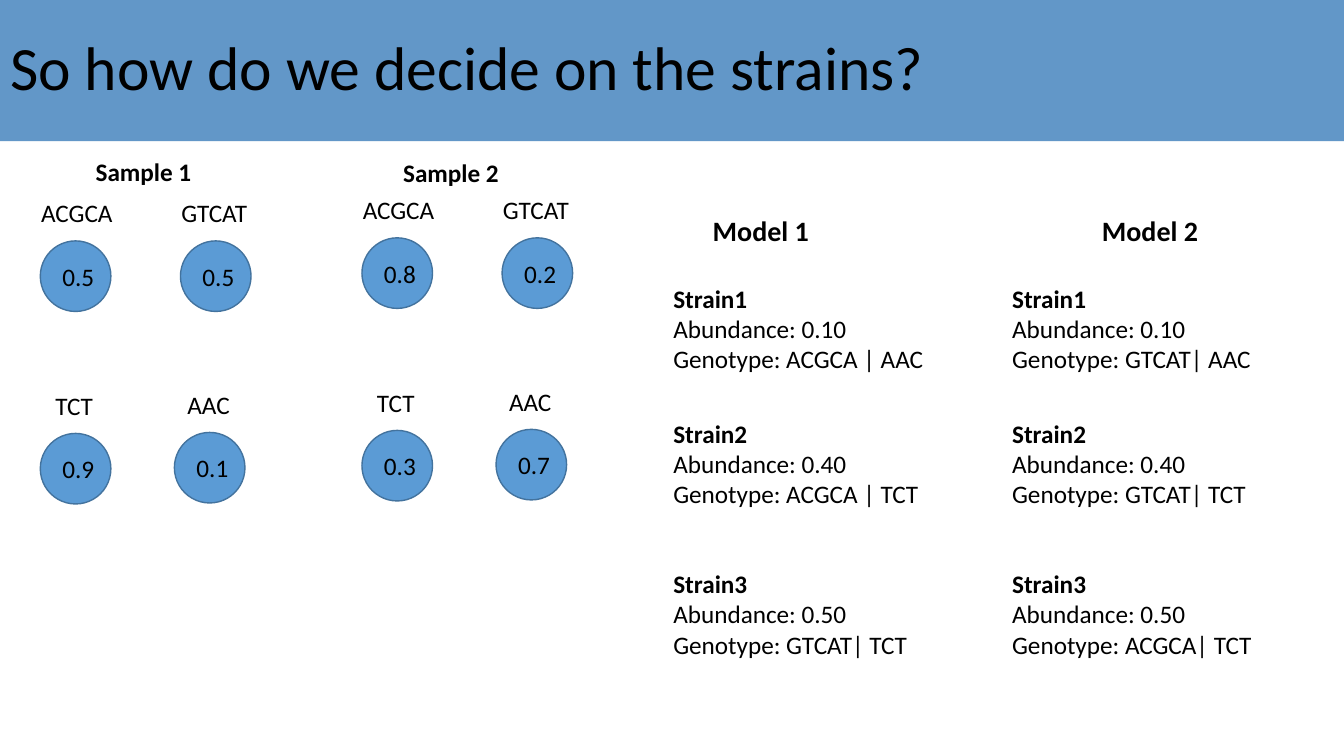
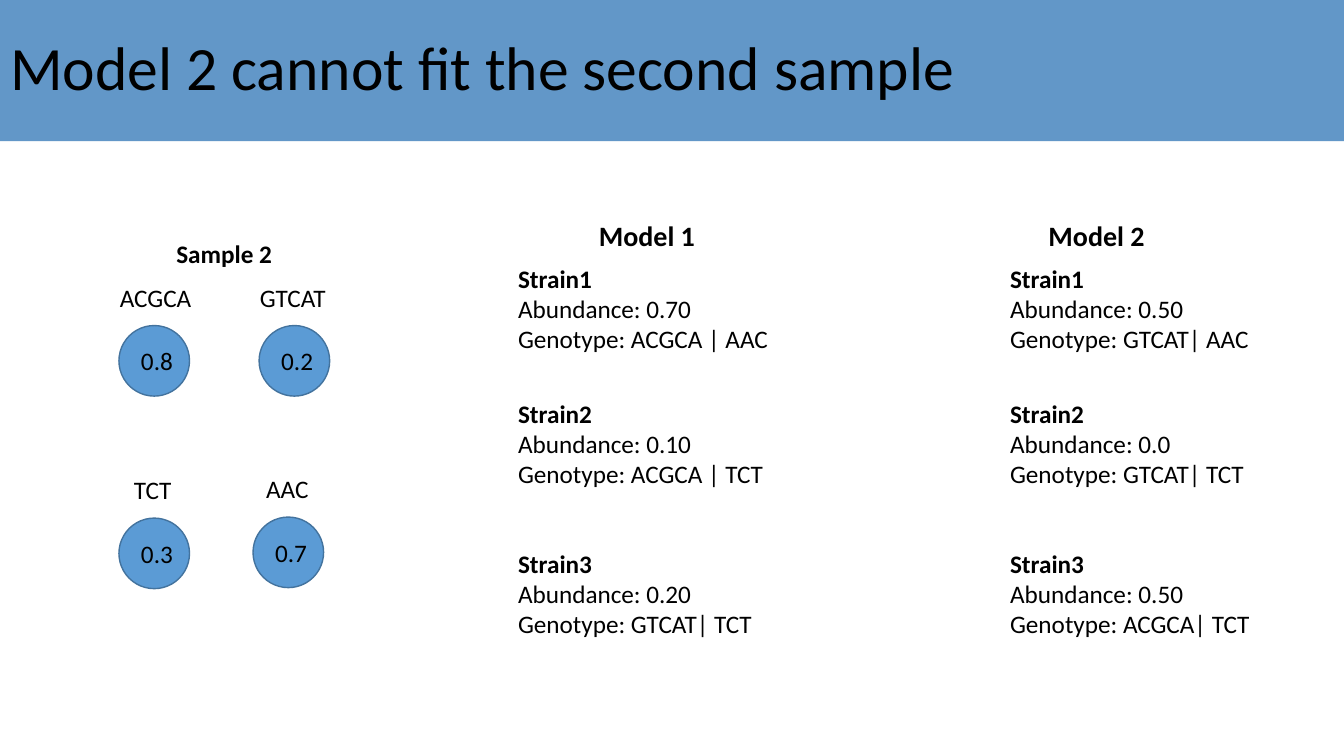
from lxml.etree import SubElement
from pptx import Presentation
from pptx.dml.color import RGBColor
from pptx.enum.shapes import MSO_SHAPE as Shape
from pptx.enum.text import MSO_ANCHOR as Anchor, MSO_AUTO_SIZE as AutoSize, PP_ALIGN as Align
from pptx.oxml.ns import qn
from pptx.util import Inches, Pt

COLORS = {"band": "2E75B6", "circle": "5B9BD5", "outline": "43739E", "text": "000000"}
FONT = "Calibri"
SLIDE_WIDTH, SLIDE_HEIGHT = 13.33, 7.5

# Formats for each kind of text
TITLE = {"name": FONT, "size": Pt(44), "bold": False}
BODY = {"name": FONT, "size": Pt(18), "bold": False}
BOLD = {**BODY, "bold": True}
HEADING = {**BOLD, "size": Pt(20)}

# Circles relative to the first one: x, y, label, label x shift, label width
CIRCLE_SIZE = 0.7
ALLELES = [
    (0, 0, "ACGCA", -0.09, 1),
    (1.39, 0, "GTCAT", -0.09, 1),
    (0, 1.91, "TCT", 0.05, 0.72),
    (1.33, 1.9, "AAC", 0.03, 0.72),
]

# Strain boxes of a model: y relative to the first one, width
STRAIN_BOXES = [(0, 2.93), (1.34, 3.26), (2.83, 3.26)]
GENOTYPES = {
    "Model 1": ["ACGCA | AAC", "ACGCA | TCT", "GTCAT| TCT"],
    "Model 2": ["GTCAT| AAC", "GTCAT| TCT", "ACGCA| TCT"],
}

# Samples: name, name position, first circle, frequencies
# Models: name, name position, first strain box, abundances
SLIDES = [
    {
        "title": "So how do we decide on the strains?",
        "samples": [
            ("Sample 1", (0.85, 1.5), (0.4, 2.39), ["0.5", "0.5", "0.9", "0.1"]),
            ("Sample 2", (3.9, 1.51), (3.59, 2.36), ["0.8", "0.2", "0.3", "0.7"]),
        ],
        "models": [
            ("Model 1", (6.97, 2.07), (6.58, 2.76), ["0.10", "0.40", "0.50"]),
            ("Model 2", (10.83, 2.07), (9.94, 2.76), ["0.10", "0.40", "0.50"]),
        ],
    },
    {
        "title": "Model 2 cannot fit the second sample",
        "samples": [
            ("Sample 2", (1.65, 2.32), (1.18, 3.23), ["0.8", "0.2", "0.3", "0.7"]),
        ],
        "models": [
            ("Model 1", (5.84, 2.12), (5.04, 2.56), ["0.70", "0.10", "0.20"]),
            ("Model 2", (10.3, 2.12), (9.92, 2.56), ["0.50", "0.0", "0.50"]),
        ],
    },
]


def color(name):
    return RGBColor.from_string(COLORS[name])


def set_format(font, style):
    for attribute, value in style.items():
        setattr(font, attribute, value)
    font.color.rgb = color("text")


def add_title(page, text):
    """Title placeholder as a translucent band across the page."""
    band = page.shapes.title
    band.left, band.top = Inches(0), Inches(0)
    band.width, band.height = Inches(SLIDE_WIDTH), Inches(1.4)
    band.fill.solid()
    band.fill.fore_color.rgb = color("band")
    band_color = band._element.spPr.find(f".//{qn('a:srgbClr')}")
    SubElement(band_color, qn("a:alpha"), val="75000")
    frame = band.text_frame
    frame.auto_size = AutoSize.NONE
    frame.word_wrap = True
    frame.vertical_anchor = Anchor.MIDDLE
    para = frame.paragraphs[0]
    para.alignment = Align.LEFT
    para.line_spacing = 0.9
    span = para.add_run()
    span.text = text
    set_format(span.font, TITLE)


def add_text(page, left, top, width, height, lines):
    """Text box with one paragraph for each (text, style) pair."""
    box = page.shapes.add_textbox(Inches(left), Inches(top), Inches(width), Inches(height))
    frame = box.text_frame
    frame.word_wrap = True
    frame.auto_size = AutoSize.SHAPE_TO_FIT_TEXT
    for index, (text, style) in enumerate(lines):
        para = frame.add_paragraph() if index else frame.paragraphs[0]
        span = para.add_run()
        span.text = text
        set_format(span.font, style)


def add_circle(page, left, top, frequency):
    size = Inches(CIRCLE_SIZE)
    circle = page.shapes.add_shape(Shape.OVAL, Inches(left), Inches(top), size, size)
    circle.shadow.inherit = False
    circle.fill.solid()
    circle.fill.fore_color.rgb = color("circle")
    circle.line.color.rgb = color("outline")
    circle.line.width = Pt(1)
    add_text(page, left + 0.12, top + 0.15, 0.58, 0.4, [(frequency, BODY)])


def add_sample(page, name, name_at, first_at, frequencies):
    add_text(page, *name_at, 1.32, 0.4, [(name, BOLD)])
    for (dx, dy, label, shift, width), frequency in zip(ALLELES, frequencies):
        left, top = first_at[0] + dx, first_at[1] + dy
        add_circle(page, left, top, frequency)
        add_text(page, left + shift, top - 0.48, width, 0.4, [(label, BODY)])


def add_model(page, name, name_at, first_at, abundances):
    add_text(page, *name_at, 1.32, 0.44, [(name, HEADING)])
    strains = zip(STRAIN_BOXES, abundances, GENOTYPES[name])
    for number, ((dy, width), abundance, genotype) in enumerate(strains, 1):
        add_text(page, first_at[0], first_at[1] + dy, width, 1.01, [
            (f"Strain{number}", BOLD),
            (f"Abundance: {abundance}", BODY),
            (f"Genotype: {genotype}", BODY),
        ])


def main():
    deck = Presentation()
    deck.slide_width, deck.slide_height = Inches(SLIDE_WIDTH), Inches(SLIDE_HEIGHT)
    title_only = deck.slide_layouts[5]
    for content in SLIDES:
        page = deck.slides.add_slide(title_only)
        add_title(page, content["title"])
        for sample in content["samples"]:
            add_sample(page, *sample)
        for model in content["models"]:
            add_model(page, *model)
    deck.save("out.pptx")


if __name__ == "__main__":
    main()
